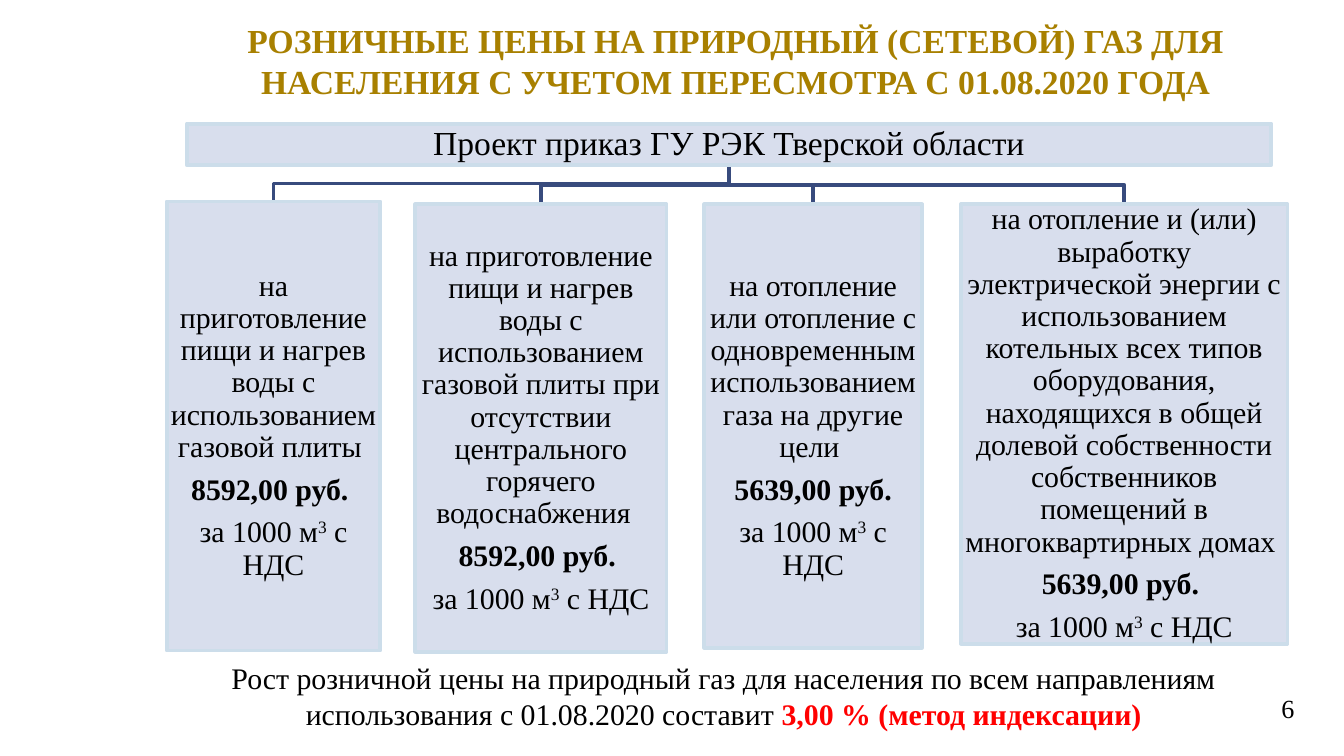
from pptx import Presentation
from pptx.dml.color import RGBColor
from pptx.enum import shapes, text
from pptx.util import Inches, Pt

FONT = "Times New Roman"
BLACK = RGBColor(0x00, 0x00, 0x00)
RED = RGBColor(0xFF, 0x00, 0x00)
GOLD = RGBColor(0xA8, 0x80, 0x00)
PALE = RGBColor(0xD8, 0xDE, 0xED)
EDGE = RGBColor(0xCC, 0xDD, 0xEA)
NAVY = RGBColor(0x38, 0x4B, 0x7D)

SLIDE_WIDTH = 10
SLIDE_HEIGHT = SLIDE_WIDTH * 9 / 16

TITLE = "РОЗНИЧНЫЕ ЦЕНЫ НА ПРИРОДНЫЙ (СЕТЕВОЙ) ГАЗ ДЛЯ НАСЕЛЕНИЯ С УЧЕТОМ ПЕРЕСМОТРА С 01.08.2020 ГОДА"
HEADER = "Проект приказ ГУ РЭК Тверской области"
HEADER_BOX = (1.39, 0.92, 8.07, 0.31)
GROWTH = "Рост розничной цены на природный газ для населения по всем направлениям использования с 01.08.2020 составит "
GROWTH_RATE = "3,00 % (метод индексации)"
PAGE_NUMBER = "6"

TARIFFS = [
    ((1.24, 1.5, 1.59, 3.34),
     "на приготовление пищи и нагрев воды с использованием газовой плиты ",
     "8592,00 руб. "),
    ((3.09, 1.52, 1.87, 3.33),
     "на приготовление пищи и нагрев воды с использованием газовой плиты при отсутствии "
     "центрального горячего водоснабжения  ",
     "8592,00 руб. "),
    ((5.24, 1.52, 1.62, 3.3),
     "на отопление или отопление с одновременным использованием газа на другие цели ",
     " 5639,00 руб. "),
    ((7.15, 1.52, 2.43, 3.27),
     "на отопление и (или) выработку электрической энергии с использованием котельных всех типов "
     "оборудования, находящихся в общей долевой собственности собственников помещений в "
     "многоквартирных домах  ",
     "5639,00 руб. "),
]


def add_run(paragraph, words, size, color=BLACK, bold=False, raised=False):
    run = paragraph.add_run()
    run.text = words
    run.font.name = FONT
    run.font.size = Pt(size)
    run.font.bold = bold
    run.font.color.rgb = color
    if raised:
        run.font._element.set("baseline", "30000")


def add_label(slide, box, anchor, alignment=text.PP_ALIGN.CENTER):
    frame = slide.shapes.add_textbox(*map(Inches, box)).text_frame
    frame.word_wrap = True
    frame.vertical_anchor = anchor
    paragraph = frame.paragraphs[0]
    paragraph.alignment = alignment
    return paragraph


def add_branch(slide, parent, child):
    start_x = parent[0] + parent[2] / 2
    start_y = parent[1] + parent[3]
    end_x = child[0] + child[2] / 2
    middle_y = (start_y + child[1]) / 2
    builder = slide.shapes.build_freeform(Inches(start_x), Inches(start_y))
    corners = [(start_x, middle_y), (end_x, middle_y), (end_x, child[1])]
    builder.add_line_segments([(Inches(x), Inches(y)) for x, y in corners], close=False)
    branch = builder.convert_to_shape()
    branch.shadow.inherit = False
    branch.fill.background()
    branch.line.color.rgb = NAVY
    branch.line.width = Pt(2)


def add_box(slide, box, paragraphs, size):
    shape = slide.shapes.add_shape(shapes.MSO_SHAPE.RECTANGLE, *map(Inches, box))
    shape.shadow.inherit = False
    shape.fill.solid()
    shape.fill.fore_color.rgb = PALE
    shape.line.color.rgb = EDGE
    shape.line.width = Pt(2)
    frame = shape.text_frame
    frame.word_wrap = True
    frame.vertical_anchor = text.MSO_ANCHOR.MIDDLE
    frame.margin_left = frame.margin_right = Inches(0.01)
    frame.margin_top = frame.margin_bottom = Inches(0.01)
    for index, runs in enumerate(paragraphs):
        paragraph = frame.add_paragraph() if index else frame.paragraphs[0]
        paragraph.alignment = text.PP_ALIGN.CENTER
        paragraph.line_spacing = 0.9
        paragraph.space_after = Pt(size * 0.35)
        for words, style in runs:
            add_run(paragraph, words, size, **style)


def main():
    presentation = Presentation()
    presentation.slide_width = Inches(SLIDE_WIDTH)
    presentation.slide_height = Inches(SLIDE_HEIGHT)
    slide = presentation.slides.add_slide(presentation.slide_layouts[6])

    number = add_label(slide, (9.25, 5.12, 0.48, 0.3), text.MSO_ANCHOR.MIDDLE, text.PP_ALIGN.RIGHT)
    add_run(number, PAGE_NUMBER, 14)
    title = add_label(slide, (1.22, 0.14, 8.51, 0.62), text.MSO_ANCHOR.MIDDLE)
    add_run(title, TITLE, 18, GOLD, bold=True)

    for box, _, _ in reversed(TARIFFS):
        add_branch(slide, HEADER_BOX, box)
    add_box(slide, HEADER_BOX, [[(HEADER, {})]], 18)
    unit = [("за 1000 м", {}), ("3", {"raised": True}), (" с НДС", {})]
    for box, purpose, price in TARIFFS:
        add_box(slide, box, [[(purpose, {})], [(price, {"bold": True})], unit], 16)

    growth = add_label(slide, (1.21, 4.86, 8.35, 0.64), text.MSO_ANCHOR.TOP)
    add_run(growth, GROWTH, 16)
    add_run(growth, GROWTH_RATE, 16, RED, bold=True)
    presentation.save("out.pptx")


if __name__ == "__main__":
    main()
